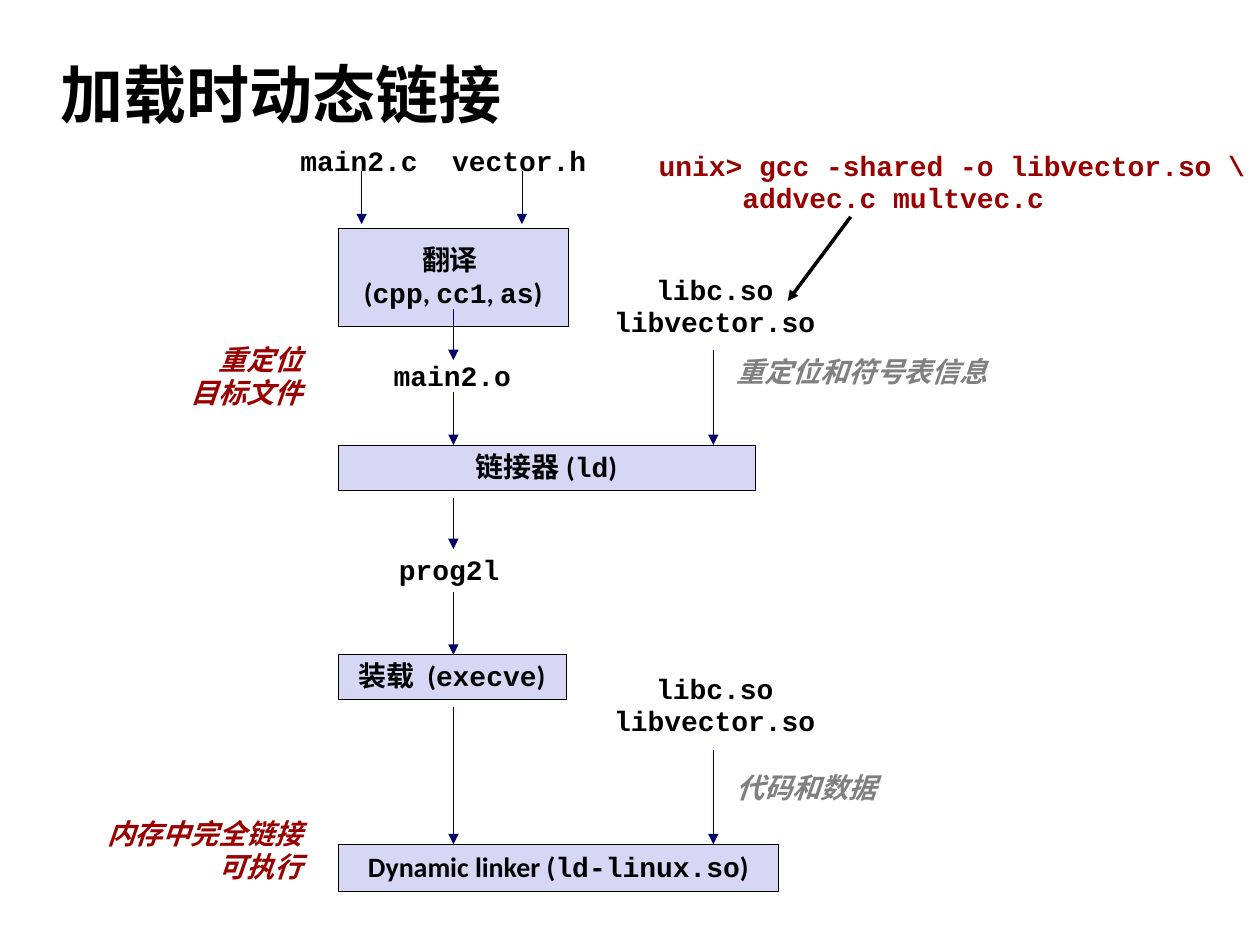
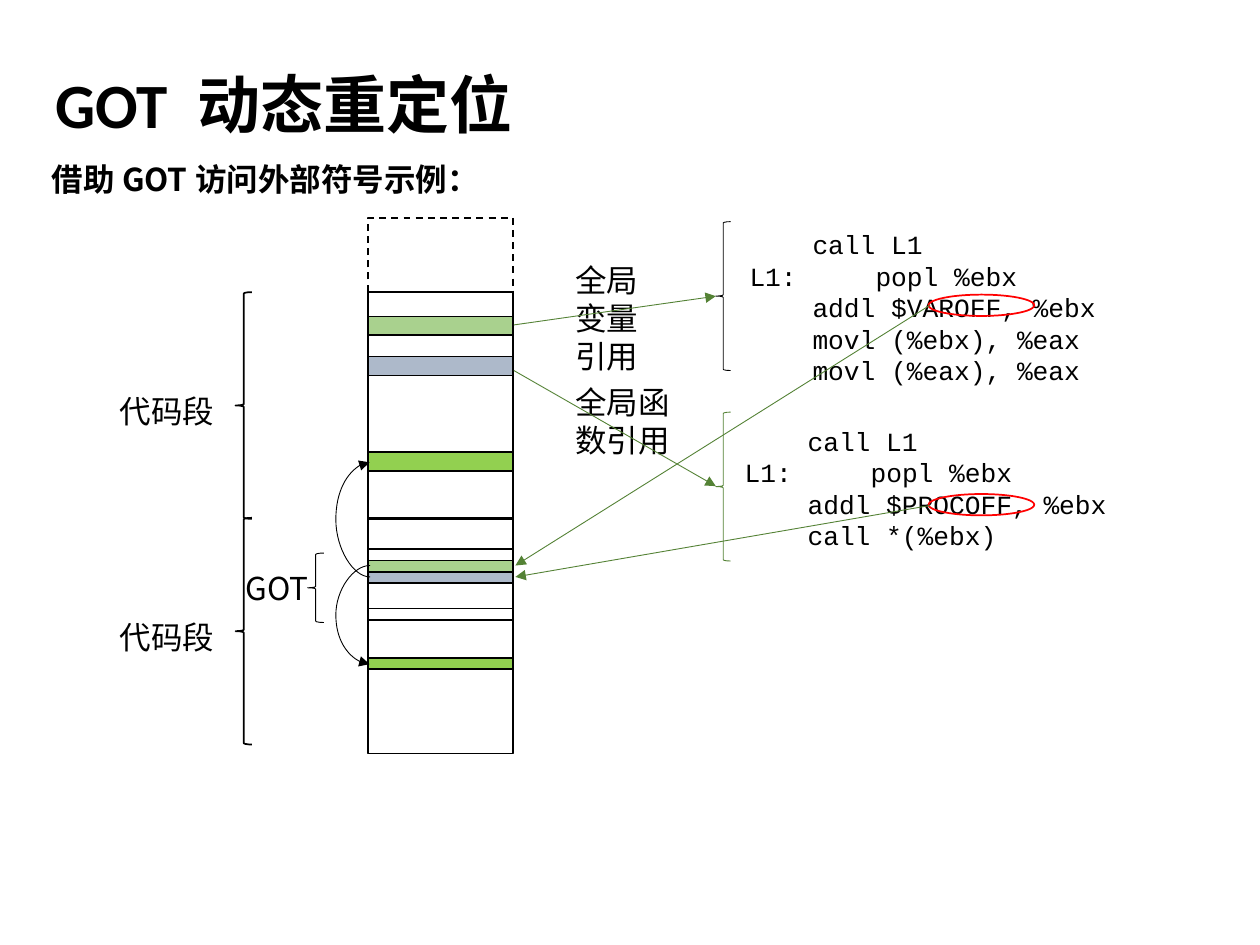
from lxml.etree import SubElement
from pptx import Presentation
from pptx.dml.color import RGBColor
from pptx.enum.dml import MSO_LINE
from pptx.enum.lang import MSO_LANGUAGE_ID as Language
from pptx.enum.shapes import MSO_CONNECTOR as Connector, MSO_SHAPE as Shape
from pptx.enum.text import MSO_ANCHOR as Anchor, MSO_AUTO_SIZE as AutoSize, PP_ALIGN as Align
from pptx.oxml.ns import qn
from pptx.util import Cm, Pt

COLORS = {
    "black": "000000",
    "navy": "000066",
    "lavender": "D6D6F5",
    "gray": "808080",
    "dark red": "990000",
    "red": "FF0000",
    "sage": "A9D18E",
    "steel": "ADB9CA",
    "lime": "92D050",
    "forest": "548235",
}
SANS, MONO, CJK = "Calibri", "Courier New", "Noto Sans CJK SC"
TITLE_ONLY = 5


def rgb(name):
    return RGBColor.from_string(COLORS[name])


def write(frame, text, size=16, font=SANS, color="black", bold=False, italic=False,
          align=Align.LEFT, spacing=None, wrap=True):
    """Fill a frame, one paragraph a line; words between backticks are set in MONO."""
    frame.auto_size = AutoSize.NONE
    frame.word_wrap = wrap
    frame.vertical_anchor = Anchor.MIDDLE
    for index, line in enumerate(text.split("\n")):
        para = frame.add_paragraph() if index else frame.paragraphs[0]
        para.alignment = align
        if spacing:
            para.line_spacing = spacing
        for part, words in enumerate(line.split("`")):
            if not words:
                continue
            span = para.add_run()
            span.text = words
            style = span.font
            style.name = MONO if part % 2 else font
            style.size = Pt(size)
            style.bold = bold
            style.italic = italic
            style.color.rgb = rgb(color)
            style.language_id = Language.SIMPLIFIED_CHINESE
            # East Asian glyphs keep the line height of the sans face
            SubElement(span._r.rPr, qn("a:ea")).set("typeface", SANS)


def add_page(deck, title, left, top):
    page = deck.slides.add_slide(deck.slide_layouts[TITLE_ONLY])
    box = page.shapes.title
    box.left, box.top, box.width, box.height = Cm(left), Cm(top), Cm(24.2), Cm(2.17)
    write(box.text_frame, title, size=36, bold=True)
    return page


def add_text(page, text, left, top, width, height, **style):
    box = page.shapes.add_textbox(Cm(left), Cm(top), Cm(width), Cm(height))
    write(box.text_frame, text, **style)


def add_figure(page, kind, left, top, width, height, fill=None, line="black",
               weight=1, dashed=False):
    figure = page.shapes.add_shape(kind, Cm(left), Cm(top), Cm(width), Cm(height))
    figure.shadow.inherit = False
    if fill:
        figure.fill.solid()
        figure.fill.fore_color.rgb = rgb(fill)
    else:
        figure.fill.background()
    figure.line.color.rgb = rgb(line)
    figure.line.width = Pt(weight)
    if dashed:
        figure.line.dash_style = MSO_LINE.DASH
    return figure


def add_arrow(page, start, end, color="black", weight=0.5, kind=Connector.STRAIGHT):
    arrow = page.shapes.add_connector(kind, *map(Cm, start + end))
    arrow.line.color.rgb = rgb(color)
    arrow.line.width = Pt(weight)
    SubElement(arrow.line._get_or_add_ln(), qn("a:tailEnd")).set("type", "triangle")
    SubElement(arrow._element.spPr, qn("a:effectLst"))
    return arrow


def add_left_loop(page, x, top, bottom, downward):
    """Curved arrow between two heights of one edge, bulging to the left."""
    width, bulge = 0.01, 0.69
    arrow = add_arrow(page, (x, top), (x + width, bottom), kind=Connector.CURVE)
    properties = arrow._element.spPr
    transform = properties.find(qn("a:xfrm"))
    transform.set("rot", "10800000")
    if downward:
        transform.set("flipV", "1")
    geometry = properties.find(qn("a:prstGeom"))
    guides = geometry.find(qn("a:avLst"))
    if guides is None:
        guides = SubElement(geometry, qn("a:avLst"))
    guide = SubElement(guides, qn("a:gd"))
    guide.set("name", "adj1")
    guide.set("fmla", f"val {round(bulge / width * 100000)}")


def add_stage(page, text, top, width, height):
    stage = add_figure(page, Shape.RECTANGLE, 6.81, top, width, height,
                       fill="lavender", weight=0.25)
    write(stage.text_frame, text, bold=True, align=Align.CENTER, spacing=0.98)


def add_file_names(page, text, left, top, width, height=0.91, **style):
    style = {"align": Align.CENTER, **style}
    add_text(page, text, left, top, width, height, font=MONO, bold=True,
             spacing=0.94, wrap=False, **style)


def add_note(page, text, left, top, width, height, color, align=Align.LEFT):
    add_text(page, text, left, top, width, height, color=color, align=align,
             bold=True, italic=True, spacing=0.98)


def build_linking_page(deck):
    page = add_page(deck, "加载时动态链接", 0.97, 0.79)

    add_stage(page, "翻译 \n(`cpp`, `cc1`, `as`)", 4.6, 4.65, 1.97)
    add_stage(page, "链接器(`ld`)", 8.97, 8.41, 0.91)
    add_stage(page, "装载 (`execve`)", 13.18, 4.6, 0.91)
    add_stage(page, "Dynamic linker (`ld-linux.so`)", 17.02, 8.89, 0.94)

    add_file_names(page, "main2.c", 5.79, 2.82, 2.9)
    add_file_names(page, "vector.h", 8.84, 2.82, 3.25)
    add_file_names(page, "main2.o", 7.67, 7.14, 2.9)
    add_file_names(page, "prog2l", 7.77, 11.05, 2.57)
    for top in (5.41, 13.46):
        add_file_names(page, "libc.so\nlibvector.so", 12.1, top, 4.62, 1.55)
    add_file_names(page, "unix> gcc -shared -o libvector.so \\\n     addvec.c multvec.c",
                   13.03, 2.92, 12.5, 1.55, color="dark red", align=Align.LEFT)

    add_note(page, "重定位和符号表信息", 14.6, 7.06, 7.24, 0.91, "gray")
    add_note(page, "代码和数据", 14.6, 15.44, 4.93, 0.91, "gray")
    add_note(page, "重定位\n目标文件", 2.54, 6.81, 3.81, 1.6, "dark red", Align.RIGHT)
    add_note(page, "内存中完全链接\n可执行", 1.47, 16.36, 4.88, 1.6, "dark red", Align.RIGHT)

    source_x, header_x, main_x, library_x = 7.29, 10.52, 9.14, 14.38
    for x, top, bottom in (
        (source_x, 3.45, 4.52), (header_x, 3.45, 4.52),
        (main_x, 6.22, 7.26), (main_x, 7.9, 8.97), (main_x, 10.03, 11.07),
        (main_x, 11.94, 13.2), (main_x, 14.25, 17.02),
        (library_x, 7.06, 8.97), (library_x, 15.11, 17.02),
    ):
        add_arrow(page, (x, top), (x, bottom), color="navy", weight=0.25)
    add_arrow(page, (17.15, 4.37), (15.88, 6.07), weight=2)


def add_memory_column(page):
    left, width = 7.42, 2.92
    add_figure(page, Shape.RECTANGLE, left, 4.39, width, 1.5, dashed=True)
    for top, height, fill in (
        (5.89, 4.57, None), (10.44, 4.75, None), (11.07, 0.23, None),
        (11.3, 0.23, "sage"), (11.53, 0.23, "steel"), (12.27, 0.23, None),
        (6.38, 0.38, "sage"), (7.19, 0.38, "steel"),
        (13.26, 0.23, "lime"), (9.12, 0.38, "lime"),
    ):
        add_figure(page, Shape.RECTANGLE, left, top, width, height, fill=fill)


def build_got_page(deck):
    page = add_page(deck, "GOT 动态重定位", 0.86, 0.99)
    label = {"size": 18, "font": CJK}
    add_text(page, "借助GOT访问外部符号示例：", 0.79, 3.1, 9.02, 1.02,
             bold=True, wrap=False, **label)

    add_memory_column(page)
    for top in (5.89, 10.44):
        add_figure(page, Shape.LEFT_BRACE, 4.75, top, 0.33, 4.57)
        add_text(page, "代码段", 2.16, top + 1.89, 2.59, 1.02, **label)
    add_figure(page, Shape.LEFT_BRACE, 6.2, 11.15, 0.33, 1.4, weight=0.5)
    add_text(page, "GOT", 4.7, 11.35, 2.31, 1.02, **label)

    code = {"size": 15, "font": MONO}
    add_text(page, "\tcall L1\nL1: \tpopl %ebx\n\taddl $VAROFF, %ebx\n"
             "\tmovl (%ebx), %eax\n\tmovl (%eax), %eax", 14.86, 4.47, 9.37, 3.45, **code)
    add_text(page, "\tcall L1\nL1: \tpopl %ebx\n\taddl $PROCOFF, %ebx\n"
             "\tcall *(%ebx)", 14.76, 8.43, 9.22, 2.82, **code)
    for top, line in ((4.47, "black"), (8.31, "forest")):
        add_figure(page, Shape.LEFT_BRACE, 14.43, top, 0.3, 3, line=line, weight=0.5)

    add_text(page, "全局变量引用", 11.35, 5.13, 2.16, 2.57, **label)
    add_text(page, "全局函数引用", 11.35, 7.59, 2.54, 1.8, **label)
    for top in (5.94, 9.96):
        add_figure(page, Shape.OVAL, 18.72, top, 2.13, 0.43, line="red")

    for start, end in (
        ((10.36, 6.55), (14.43, 5.97)), ((10.36, 7.47), (14.43, 9.8)),
        ((18.75, 6.15), (10.39, 11.4)), ((18.75, 10.19), (10.39, 11.63)),
    ):
        add_arrow(page, start, end, color="forest")
    add_left_loop(page, 7.45, 11.4, 13.39, downward=True)
    add_left_loop(page, 7.45, 9.32, 11.63, downward=False)


def main():
    deck = Presentation()
    deck.slide_width, deck.slide_height = Cm(25.4), Cm(19.05)
    build_linking_page(deck)
    build_got_page(deck)
    deck.save("out.pptx")


if __name__ == "__main__":
    main()
